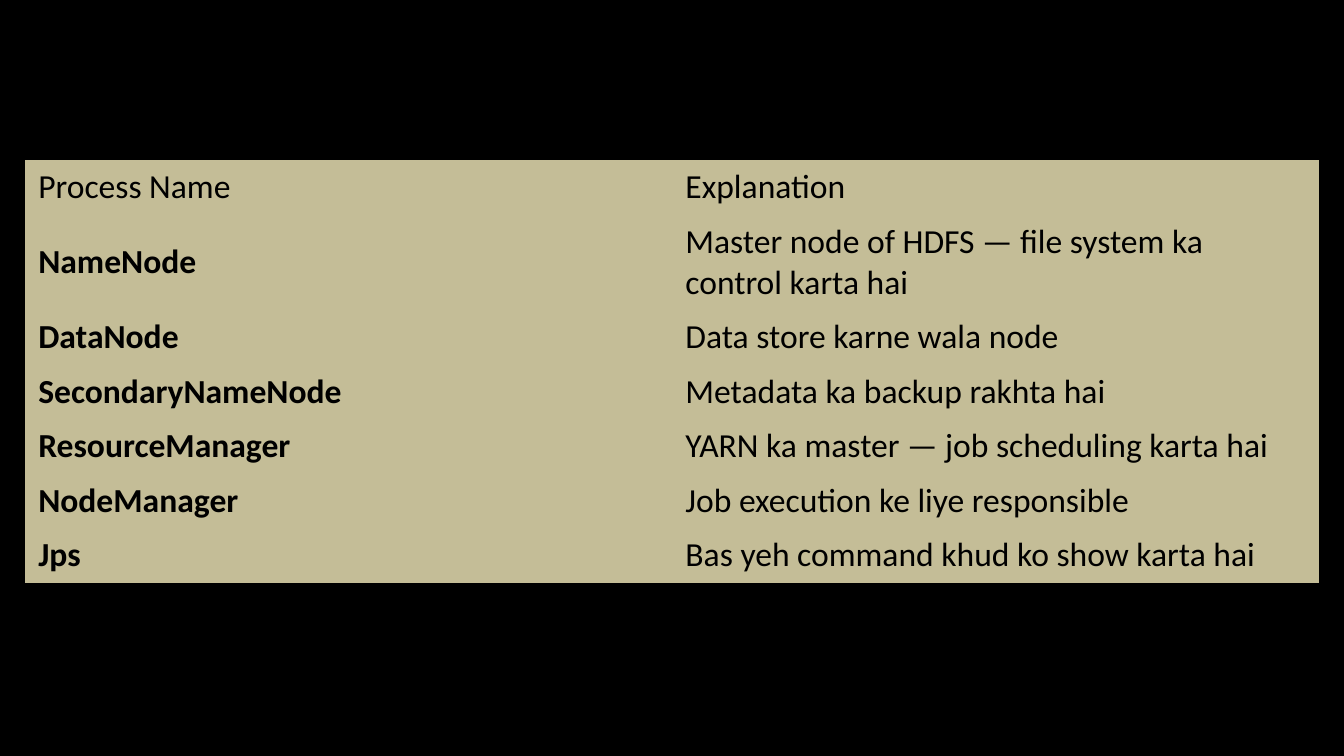
from typing import NamedTuple

from pptx import Presentation
from pptx.dml.color import RGBColor
from pptx.enum.shapes import MSO_SHAPE
from pptx.enum.text import MSO_ANCHOR
from pptx.oxml.ns import qn
from pptx.util import Inches, Pt

WIDTH = Inches(10)
HEIGHT = WIDTH * 9 // 16
TABLE_WIDTH = Inches(9.63)
LINE_HEIGHT, CELL_PADDING = Pt(22), Inches(0.1)
BLACK, SAND = "000000", "C4BD97"
NO_STYLE_NO_GRID = "{2D5ABB26-0587-4C30-8999-92F81FD0307C}"


class Process(NamedTuple):
    """A process with its explanation and the lines the row takes."""

    name: str
    explanation: str
    bold_name: bool = True
    lines: int = 1


PROCESSES = [
    Process("Process Name", "Explanation", bold_name=False),
    Process("NameNode", "Master node of HDFS — file system ka control karta hai", lines=2),
    Process("DataNode", "Data store karne wala node"),
    Process("SecondaryNameNode", "Metadata ka backup rakhta hai"),
    Process("ResourceManager", "YARN ka master — job scheduling karta hai"),
    Process("NodeManager", "Job execution ke liye responsible"),
    Process("Jps", "Bas yeh command khud ko show karta hai"),
]


def paint(fill, colour: str) -> None:
    """Give a fill one solid colour."""
    fill.solid()
    fill.fore_color.rgb = RGBColor.from_string(colour)


def draw_backdrop(page) -> None:
    """Cover the page with a black rectangle."""
    backdrop = page.shapes.add_shape(MSO_SHAPE.RECTANGLE, 0, 0, WIDTH, HEIGHT)
    backdrop.shadow.inherit = False
    backdrop.line.fill.background()
    paint(backdrop.fill, BLACK)


def write_cell(cell, text: str, bold: bool) -> None:
    """Fill a table cell and write its text."""
    paint(cell.fill, SAND)
    cell.vertical_anchor = MSO_ANCHOR.MIDDLE
    span = cell.text_frame.paragraphs[0].add_run()
    span.text = text
    span.font.name = "Calibri"
    span.font.size = Pt(18)
    span.font.bold = bold
    paint(span.font.fill, BLACK)


def draw_processes(page, processes: list[Process]) -> None:
    """Draw the processes as a two-column table without grid lines."""
    heights = [item.lines * LINE_HEIGHT + CELL_PADDING for item in processes]
    left = (WIDTH - TABLE_WIDTH) // 2
    frame = page.shapes.add_table(
        len(processes), 2, left, Inches(1.19), TABLE_WIDTH, sum(heights)
    )
    for style in frame.element.iter(qn("a:tableStyleId")):
        style.text = NO_STYLE_NO_GRID
    table = frame.table
    table.first_row = table.horz_banding = False
    for row, height, process in zip(table.rows, heights, processes):
        row.height = height
        write_cell(row.cells[0], process.name, process.bold_name)
        write_cell(row.cells[1], process.explanation, False)


def main() -> None:
    """Build the slide and save the deck."""
    deck = Presentation()
    deck.slide_width, deck.slide_height = WIDTH, HEIGHT
    page = deck.slides.add_slide(deck.slide_layouts[6])
    draw_backdrop(page)
    draw_processes(page, PROCESSES)
    deck.save("out.pptx")


if __name__ == "__main__":
    main()
